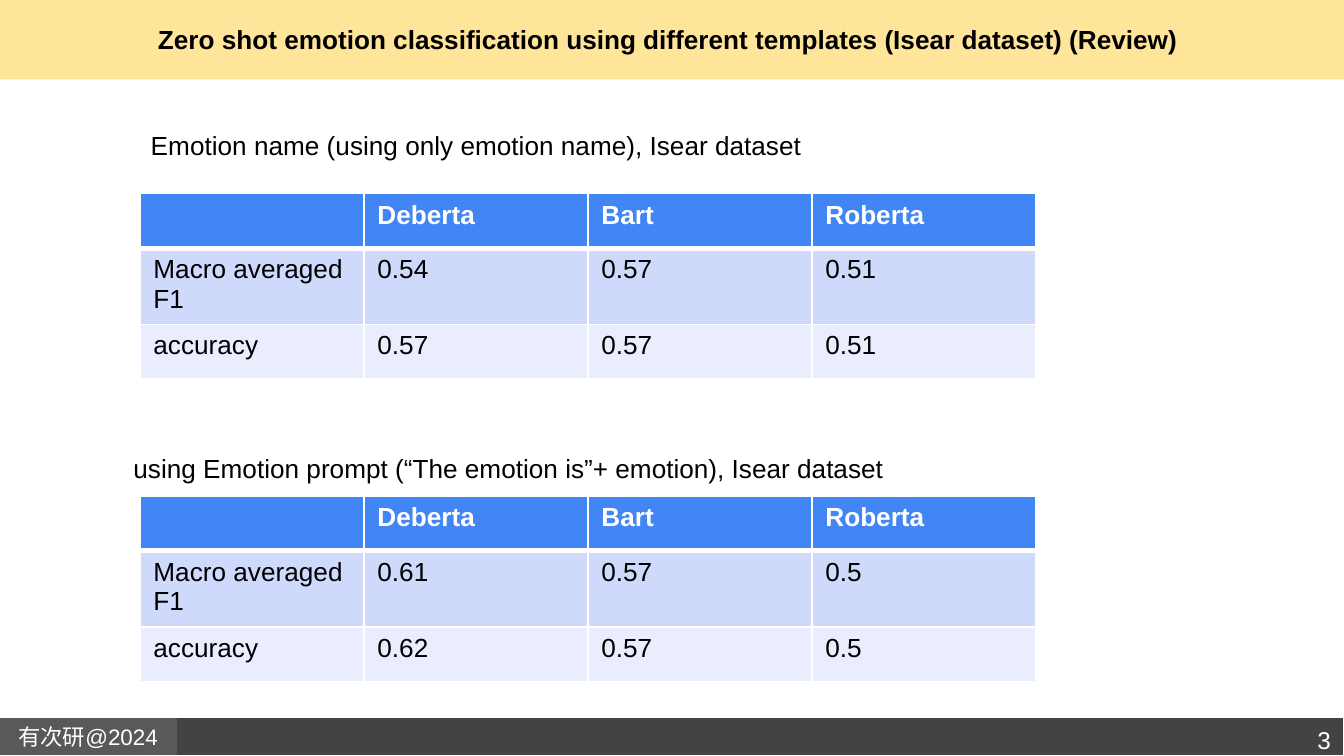
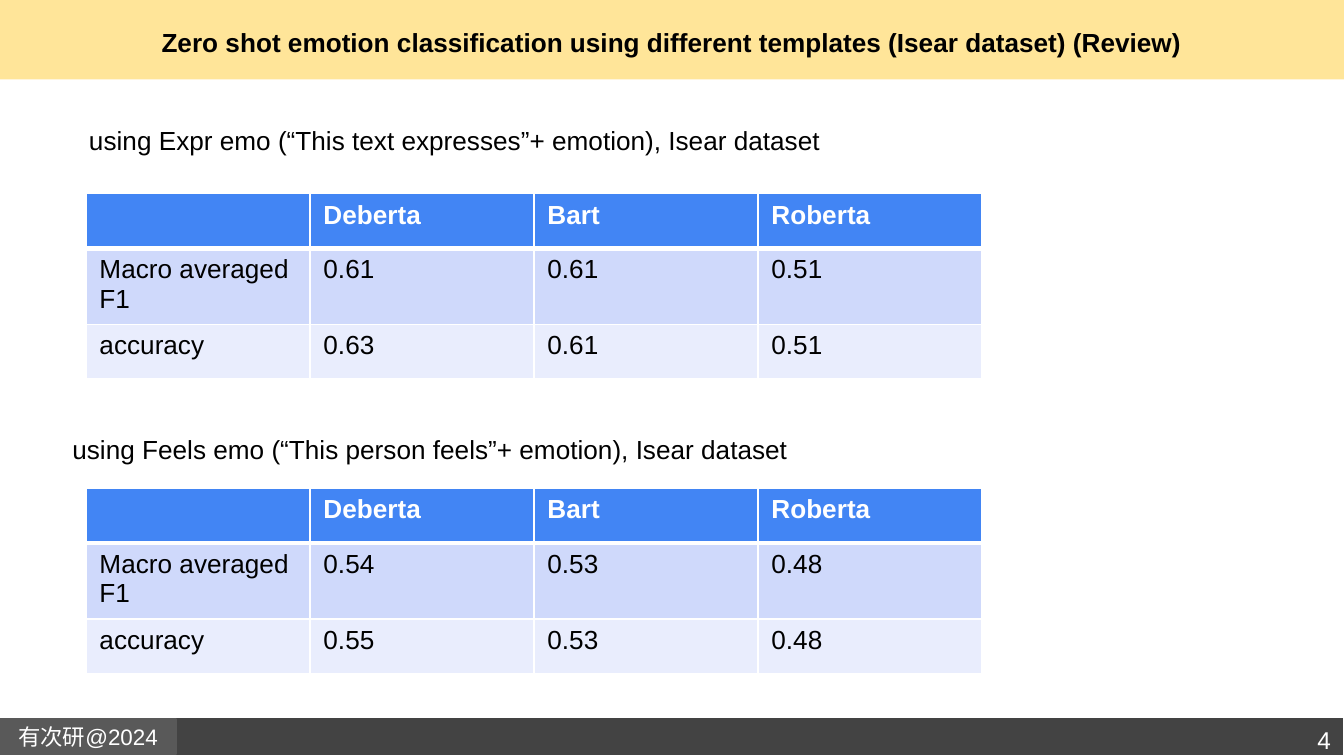
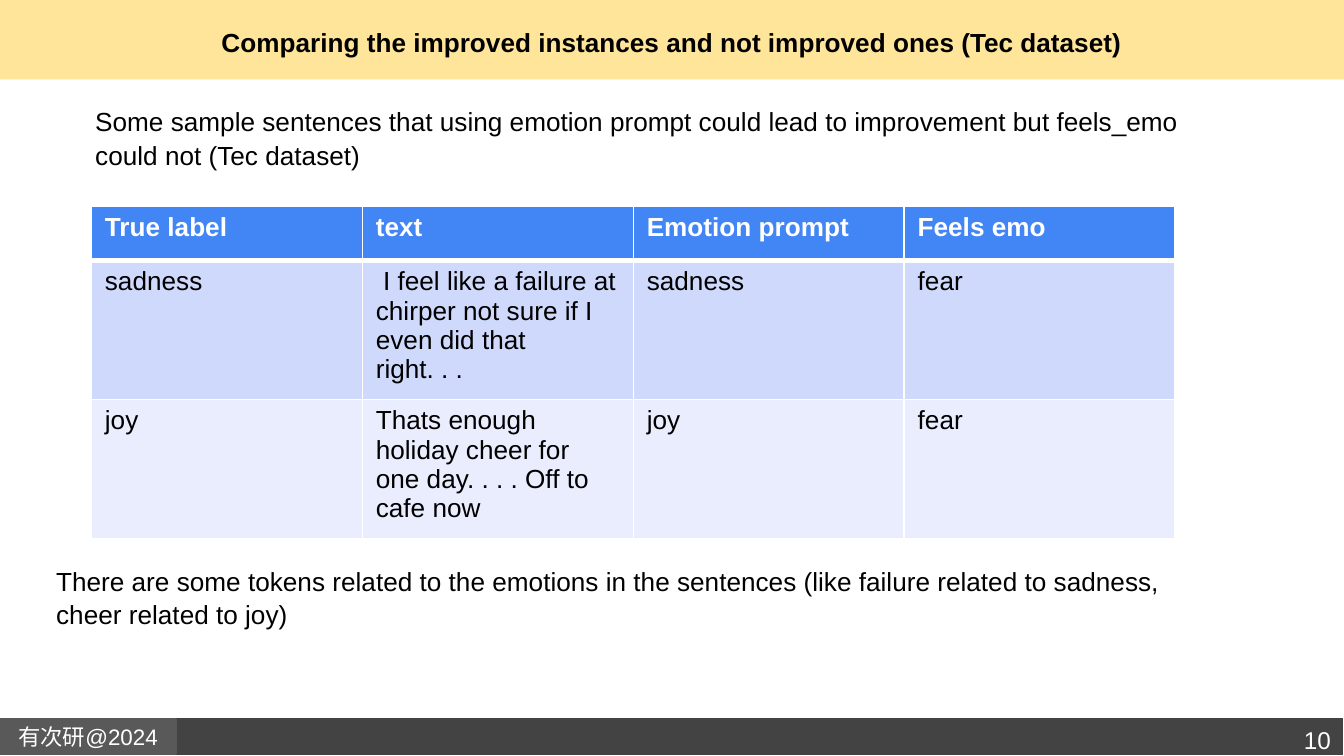
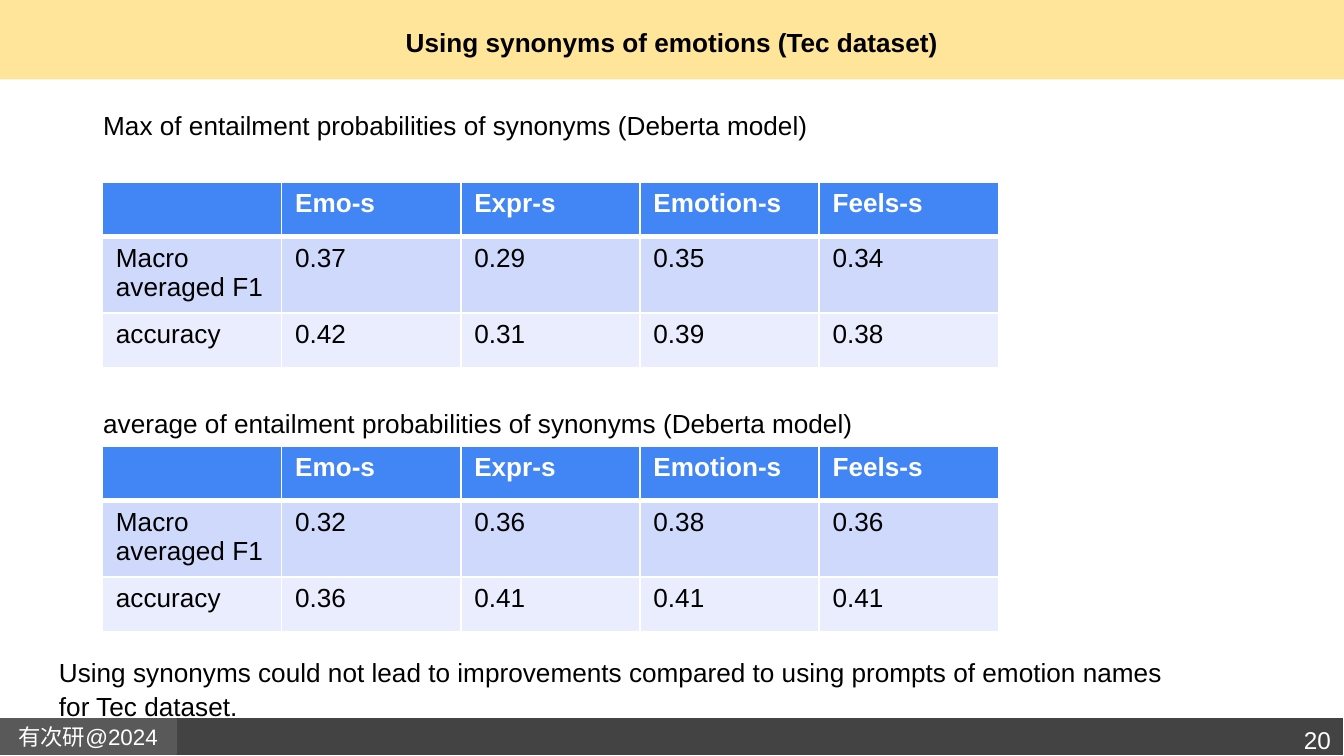
import pptx
import pptx.dml.color
import pptx.enum.shapes
import pptx.enum.text
import pptx.oxml
import pptx.util
from lxml import etree

Pt = pptx.util.Pt
ALIGN = pptx.enum.text.PP_ALIGN
MIDDLE = pptx.enum.text.MSO_ANCHOR.MIDDLE
RECT = pptx.enum.shapes.MSO_SHAPE.RECTANGLE

WIDTH, HEIGHT = 720, 405
BLACK, WHITE = "000000", "FFFFFF"
TITLE_BAND, FOOTER_BAND, FOOTER_TAG = "FFE599", "434343", "595959"
HEADER_FILL, ROW_FILLS = "4285F4", ("CFD9FB", "E9EDFD")

BODY = {"size": Pt(14), "name": "Arial", "bold": False}
BOLD = {**BODY, "bold": True}
TAG = {**BODY, "size": Pt(12)}
NUMBER = {**BODY, "size": Pt(13)}


def rgb(value):
    return pptx.dml.color.RGBColor.from_string(value)


class Deck:
    """Holds the presentation, its style and the current slide."""

    def __init__(self):
        self.prs = pptx.Presentation()
        self.prs.slide_width, self.prs.slide_height = Pt(WIDTH), Pt(HEIGHT)
        self.s = None

    # Text
    def add_text(self, tf, text, fmt, color=BLACK, align=ALIGN.LEFT, spacing=None):
        p = tf.paragraphs[0]
        p.alignment, p.line_spacing = align, spacing
        r = p.add_run()
        r.text = text
        for key, value in fmt.items():
            setattr(r.font, key, value)
        r.font.color.rgb = rgb(color)

    def textbox(self, box, wrap=True, inset=3.6):
        tf = self.s.shapes.add_textbox(*map(Pt, box)).text_frame
        tf.word_wrap = wrap
        tf.margin_left = tf.margin_right = Pt(7.2)
        tf.margin_top = tf.margin_bottom = Pt(inset)
        return tf

    def caption(self, text, left, top, width, height=24.5, wrap=True):
        tf = self.textbox((left, top, width, height), wrap)
        self.add_text(tf, text, BODY, spacing=1.07)

    # Bands, title and footer
    def band(self, box, fill, line=None):
        sp = self.s.shapes.add_shape(RECT, *map(Pt, box))
        sp.shadow.inherit = False
        sp.fill.solid()
        sp.fill.fore_color.rgb = rgb(fill)
        if line:
            sp.line.color.rgb = rgb(line)
            sp.line.width = Pt(0.75)
        else:
            sp.line.fill.background()
        return sp

    def slide(self, title, number, title_box=(24.5, 0, 671, 45.4)):
        self.s = self.prs.slides.add_slide(self.prs.slide_layouts[6])
        self.band((0, 0, WIDTH, 42.5), TITLE_BAND)
        self.band((0, 384.5, WIDTH, 20.5), FOOTER_BAND, WHITE)
        tf = self.band((0, 385.2, 94.3, 18.7), FOOTER_TAG, FOOTER_TAG).text_frame
        tf.word_wrap = False
        tf.vertical_anchor = MIDDLE
        self.add_text(tf, "有次研@2024", TAG, WHITE, ALIGN.CENTER)

        tf = self.textbox(title_box, inset=7.2)
        tf.vertical_anchor = MIDDLE
        self.add_text(tf, title, BOLD, align=ALIGN.CENTER)
        tf = self.textbox((644.4, 381.6, 75.6, 26.6), inset=7.2)
        self.add_text(tf, str(number), NUMBER, WHITE, ALIGN.RIGHT)

    # Tables
    def borders(self, cell, top, bottom):
        tc_pr = cell._tc.get_or_add_tcPr()
        for side, width in (("L", 1), ("R", 1), ("T", top), ("B", bottom)):
            ln = etree.SubElement(tc_pr, pptx.oxml.ns.qn("a:ln" + side), w=str(Pt(width)))
            fill = etree.SubElement(ln, pptx.oxml.ns.qn("a:solidFill"))
            etree.SubElement(fill, pptx.oxml.ns.qn("a:srgbClr"), val=WHITE)

    def table(self, rows, left, top, width=480, heights=(29.3, 40.6, 29.3)):
        n = len(rows[0])
        box = (left, top, width, sum(heights))
        tbl = self.s.shapes.add_table(len(rows), n, *map(Pt, box)).table
        for col in tbl.columns:
            col.width = Pt(width / n)
        for i, values in enumerate(rows):
            tbl.rows[i].height = Pt(heights[i])
            header = i == 0
            for j, value in enumerate(values):
                cell = tbl.cell(i, j)
                self.borders(cell, 3 if i == 1 else 1, 3 if header else 1)
                cell.fill.solid()
                cell.fill.fore_color.rgb = rgb(HEADER_FILL if header else ROW_FILLS[(i - 1) % 2])
                if value:
                    self.add_text(cell.text_frame, value, BOLD if header else BODY,
                                  WHITE if header else BLACK)

    def scores(self, names, f1, accuracy, left, top, **options):
        rows = (["", *names], ["Macro averaged F1", *f1], ["accuracy", *accuracy])
        self.table(rows, left, top, **options)


def main():
    deck = Deck()
    review = "Zero shot emotion classification using different templates (Isear dataset) (Review)"
    models = ("Deberta", "Bart", "Roberta")
    synonyms = ("Emo-s", "Expr-s", "Emotion-s", "Feels-s")

    # Emotion name and emotion prompt
    deck.slide(review, 3, (22.5, 2.2, 671, 37.4))
    deck.caption(" Emotion name (using only emotion name), Isear dataset", 69.8, 64.8, 368.6, wrap=False)
    deck.scores(models, ("0.54", "0.57", "0.51"), ("0.57", "0.57", "0.51"), 75, 103.7)
    deck.caption(" using Emotion prompt (“The emotion is”+ emotion), Isear dataset",
                 60.5, 237.6, 430.6, wrap=False)
    deck.scores(models, ("0.61", "0.57", "0.5"), ("0.62", "0.57", "0.5"), 75, 265.8)

    # Expresses and feels templates
    deck.slide(review, 4)
    deck.caption(" using Expr emo (“This text expresses”+ emotion), Isear dataset", 36.7, 61.9, 507.6)
    deck.scores(models, ("0.61", "0.61", "0.51"), ("0.63", "0.61", "0.51"), 46.1, 103.7)
    deck.caption("using Feels emo (“This person feels”+ emotion), Isear dataset",
                 31.7, 227.5, 407.5, wrap=False)
    deck.scores(models, ("0.54", "0.53", "0.48"), ("0.55", "0.53", "0.48"), 46.1, 261.6)

    # Sample sentences
    deck.slide("Comparing the improved instances and not improved ones (Tec dataset)", 10)
    deck.table((
        ("True label", "text", "Emotion prompt", "Feels emo"),
        ("sadness", " I feel like a failure at chirper not sure if I even did that right. . .",
         "sadness", "fear"),
        ("joy", "Thats enough holiday cheer for one day. . . . Off to cafe now", "joy", "fear"),
    ), 49, 110.2, 580.6, (29.3, 70, 70))
    deck.caption("There are some tokens related to the emotions in the sentences "
                 "(like failure related to sadness, cheer related to joy)", 23, 298.1, 632.9, 41)
    deck.caption("Some sample sentences that using emotion prompt could lead to improvement "
                 "but feels_emo could not (Tec dataset)", 43.9, 51.8, 622.8, 41)

    # Synonyms
    deck.slide("Using synonyms of emotions (Tec dataset)", 20)
    deck.caption("Max of entailment probabilities of synonyms (Deberta model)", 48.2, 54, 423.4)
    deck.scores(synonyms, ("0.37", "0.29", "0.35", "0.34"), ("0.42", "0.31", "0.39", "0.38"),
                54.9, 97.5, heights=(29.3, 38.5, 29.3))
    deck.caption("average of entailment probabilities of synonyms (Deberta model)", 48.2, 213.8, 423.4)
    deck.scores(synonyms, ("0.32", "0.36", "0.38", "0.36"), ("0.36", "0.41", "0.41", "0.41"),
                54.9, 239)
    deck.caption("Using synonyms could not lead to improvements compared to using prompts "
                 "of emotion names for Tec dataset.", 24.5, 347, 625.7, 41)

    deck.prs.save("out.pptx")


if __name__ == "__main__":
    main()
